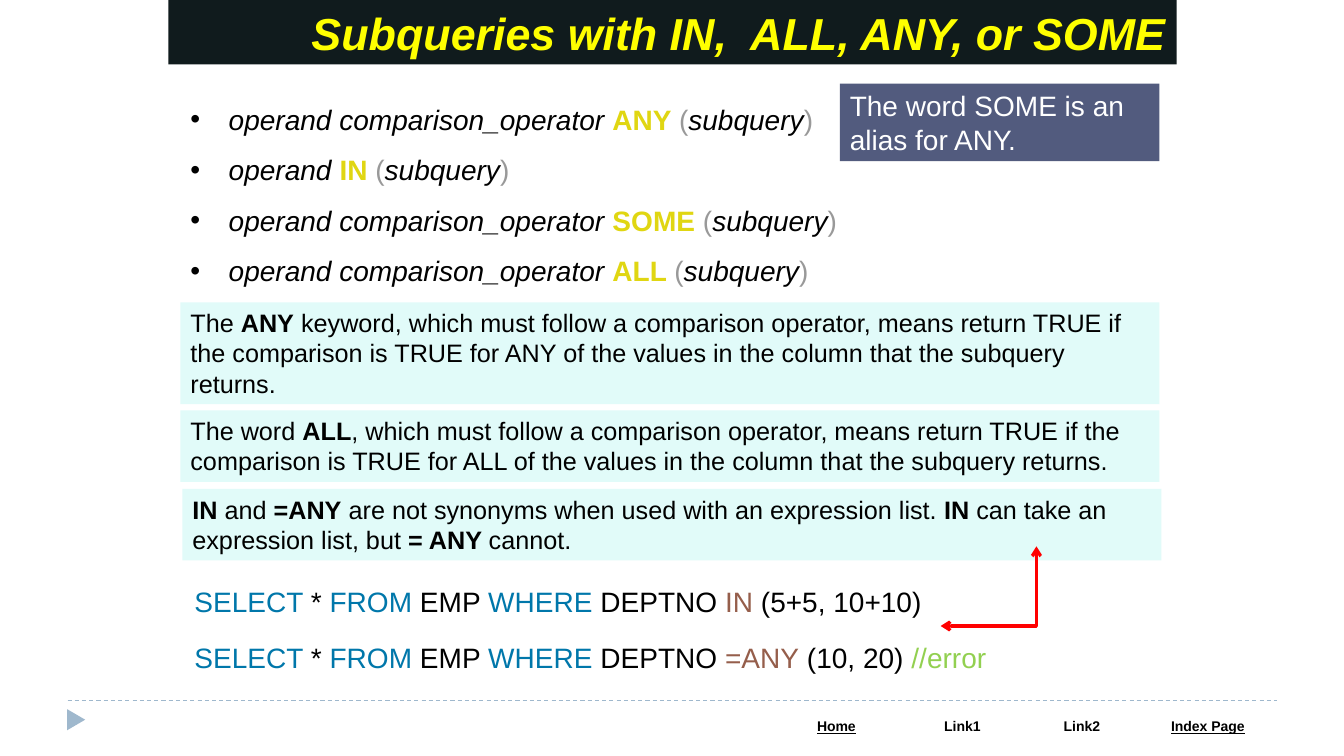
from dataclasses import dataclass

from lxml import etree
from pptx import Presentation
from pptx.dml.color import RGBColor
from pptx.enum.dml import MSO_LINE
from pptx.enum.shapes import MSO_CONNECTOR, MSO_SHAPE
from pptx.enum.text import MSO_ANCHOR, MSO_AUTO_SIZE, PP_ALIGN
from pptx.oxml.ns import qn
from pptx.util import Inches, Pt

RECT, TRIANGLE = MSO_SHAPE.RECTANGLE, MSO_SHAPE.ISOSCELES_TRIANGLE
STRAIGHT, ELBOW = MSO_CONNECTOR.STRAIGHT, MSO_CONNECTOR.ELBOW
LEFT, CENTER, RIGHT = PP_ALIGN.LEFT, PP_ALIGN.CENTER, PP_ALIGN.RIGHT
TOP, MIDDLE = MSO_ANCHOR.TOP, MSO_ANCHOR.MIDDLE
FIXED = MSO_AUTO_SIZE.NONE
DASH = MSO_LINE.DASH


@dataclass(frozen=True)
class Theme:
    font: str = "Arial"
    head: int = 32
    body: int = 20
    note: int = 18
    link: int = 10
    black: str = "000000"
    white: str = "FFFFFF"
    bar: str = "101B1D"
    yellow: str = "FFFF00"
    gold: str = "E0D612"
    gray: str = "999999"
    mint: str = "E1FBF9"
    slate: str = "525B7E"
    blue: str = "0077AA"
    brown: str = "955E4B"
    green: str = "92D050"
    rule: str = "9FB8CD"
    red: str = "FF0000"


T = Theme()
STYLES = {
    "plain": (T.black, False, False),
    "strong": (T.black, True, False),
    "term": (T.black, False, True),
    "word": (T.gold, True, False),
    "paren": (T.gray, False, False),
    "light": (T.white, False, False),
    "key": (T.blue, False, False),
    "test": (T.brown, False, False),
    "error": (T.green, False, False),
}


def rgb(code):
    return RGBColor.from_string(code)


def place(shape, box):
    shape.left, shape.top, shape.width, shape.height = map(Inches, box)


def paint(shape, code):
    shape.fill.solid()
    shape.fill.fore_color.rgb = rgb(code)


def write(para, runs, size):
    para.alignment = LEFT
    para.font.name, para.font.size = T.font, Pt(size)
    for text, style in runs:
        run = para.add_run()
        run.text = text
        code, run.font.bold, run.font.italic = STYLES[style]
        run.font.color.rgb = rgb(code)


def add_block(slide, box, runs, size, fill=None):
    spot = map(Inches, box)
    if fill:
        shape = slide.shapes.add_shape(RECT, *spot)
        shape.shadow.inherit = False
        shape.line.fill.background()
        paint(shape, fill)
    else:
        shape = slide.shapes.add_textbox(*spot)
    frame = shape.text_frame
    frame.word_wrap, frame.vertical_anchor = True, TOP
    write(frame.paragraphs[0], runs, size)


def add_line(slide, kind, start, end, code, width):
    line = slide.shapes.add_connector(kind, *map(Inches, start + end))
    line.line.color.rgb = rgb(code)
    line.line.width = Pt(width)
    etree.SubElement(line._element.spPr, qn("a:effectLst"))
    return line


def add_title(slide, box):
    title = slide.shapes.title
    place(title, box)
    paint(title, T.bar)
    frame = title.text_frame
    frame.text = "Subqueries with IN,  ALL, ANY, or SOME"
    frame.auto_size, frame.vertical_anchor = FIXED, MIDDLE
    para = frame.paragraphs[0]
    para.alignment = RIGHT
    font = para.font
    font.name, font.size = T.font, Pt(T.head)
    font.bold = font.italic = True
    font.color.rgb = rgb(T.yellow)


def add_syntax(slide, box):
    frame = slide.shapes.add_textbox(*map(Inches, box)).text_frame
    frame.word_wrap = True
    compare = "operand comparison_operator "
    forms = [(compare, "ANY "), ("operand ", "IN "), (compare, "SOME "), (compare, "ALL ")]
    for i, (lead, word) in enumerate(forms):
        para = frame.add_paragraph() if i else frame.paragraphs[0]
        props = para._p.get_or_add_pPr()
        props.set("marL", str(Inches(0.38)))
        props.set("indent", str(-Inches(0.38)))
        etree.SubElement(props, qn("a:buFont")).set("typeface", T.font)
        etree.SubElement(props, qn("a:buChar")).set("char", "•")
        para.line_spacing = 1.5
        runs = [(lead, "term"), (word, "word"), ("(", "paren"),
                ("subquery", "term"), (")", "paren")]
        write(para, runs, T.body)


def add_notes(slide, box):
    left, top, width, _ = box
    tail = " of the values in the column that the subquery returns."
    rule = "which must follow a comparison operator, means return TRUE if the comparison is TRUE for "
    notes = [
        (0, 0, 1.01, [("The ", "plain"), ("ANY", "strong"),
                      (" keyword, " + rule + "ANY" + tail, "plain")]),
        (0, 1.07, 0.71, [("The word ", "plain"), ("ALL", "strong"),
                         (", " + rule + "ALL" + tail, "plain")]),
        (0.02, 1.85, 0.71, [("IN", "strong"), (" and ", "plain"), ("=ANY", "strong"),
                            (" are not synonyms when used with an expression list. ", "plain"),
                            ("IN", "strong"), (" can take an expression list, but ", "plain"),
                            ("= ANY ", "strong"), ("cannot.", "plain")]),
    ]
    for dx, dy, high, runs in notes:
        add_block(slide, (left + dx, top + dy, width, high), runs, T.note, T.mint)


def add_code(slide, box):
    left, top, width, _ = box
    stem = [("SELECT ", "key"), ("* ", "plain"), ("FROM", "key"), (" EMP ", "plain"),
            ("WHERE", "key"), (" DEPTNO ", "plain")]
    ends = [[("IN", "test"), (" (5+5, 10+10)", "plain")],
            [("=ANY", "test"), (" (10, 20) ", "plain"), ("//error", "error")]]
    for i, end in enumerate(ends):
        add_block(slide, (left, top + 0.56 * i, width, 0.44), stem + end, T.body)


def add_arrow(slide, box):
    left, top, width, high = box
    line = add_line(slide, ELBOW, (left + width, top), (left, top + high), T.red, 2.25)
    guides = line._element.spPr.find(qn("a:prstGeom")).get_or_add_avLst()
    guide = etree.SubElement(guides, qn("a:gd"))
    guide.set("name", "adj1")
    guide.set("fmla", "val 0")
    stroke = line.line._get_or_add_ln()
    for end in ("a:headEnd", "a:tailEnd"):
        etree.SubElement(stroke, qn(end)).set("type", "arrow")


def add_footer(slide, box):
    left, top, width, _ = box
    mark = slide.shapes.add_shape(TRIANGLE, *map(Inches, (left - 0.02, top + 0.1, 0.21, 0.18)))
    mark.rotation = 90
    mark.shadow.inherit = False
    mark.line.fill.background()
    paint(mark, T.rule)
    line = add_line(slide, STRAIGHT, (left, top), (left + width, top), T.rule, 0.75)
    line.line.dash_style = DASH
    links = [("Home", 1.25, True), ("Link1", 1.25, False),
             ("Link2", 1.12, False), ("Index Page", 1.38, True)]
    spot = map(Inches, (left + 7, top + 0.13, 5, 0.27))
    table = slide.shapes.add_table(1, len(links), *spot).table
    for i, (text, wide, under) in enumerate(links):
        table.columns[i].width = Inches(wide)
        cell = table.cell(0, i)
        paint(cell, T.white)
        cell.margin_left = cell.margin_right = Inches(0.13)
        cell.text = text
        para = cell.text_frame.paragraphs[0]
        para.alignment = CENTER
        font = para.font
        font.name, font.size = T.font, Pt(T.link)
        font.bold, font.underline = True, under
        font.color.rgb = rgb(T.black)


def main():
    deck = Presentation()
    deck.slide_width, deck.slide_height = Inches(13.33), Inches(7.5)
    slide = deck.slides.add_slide(deck.slide_layouts[5])
    add_footer(slide, (0.67, 6.95, 12, 0.4))
    add_title(slide, (1.67, 0, 10, 0.64))
    add_syntax(slide, (1.79, 0.8, 9.71, 2.12))
    add_notes(slide, (1.79, 3, 9.71, 2.56))
    add_block(slide, (8.33, 0.83, 3.17, 0.77),
              [("The word SOME is an alias for ANY.", "light")], T.body, T.slate)
    add_code(slide, (1.83, 5.75, 9.69, 1))
    add_arrow(slide, (9.33, 5.42, 0.95, 0.79))
    deck.save("out.pptx")


if __name__ == "__main__":
    main()
